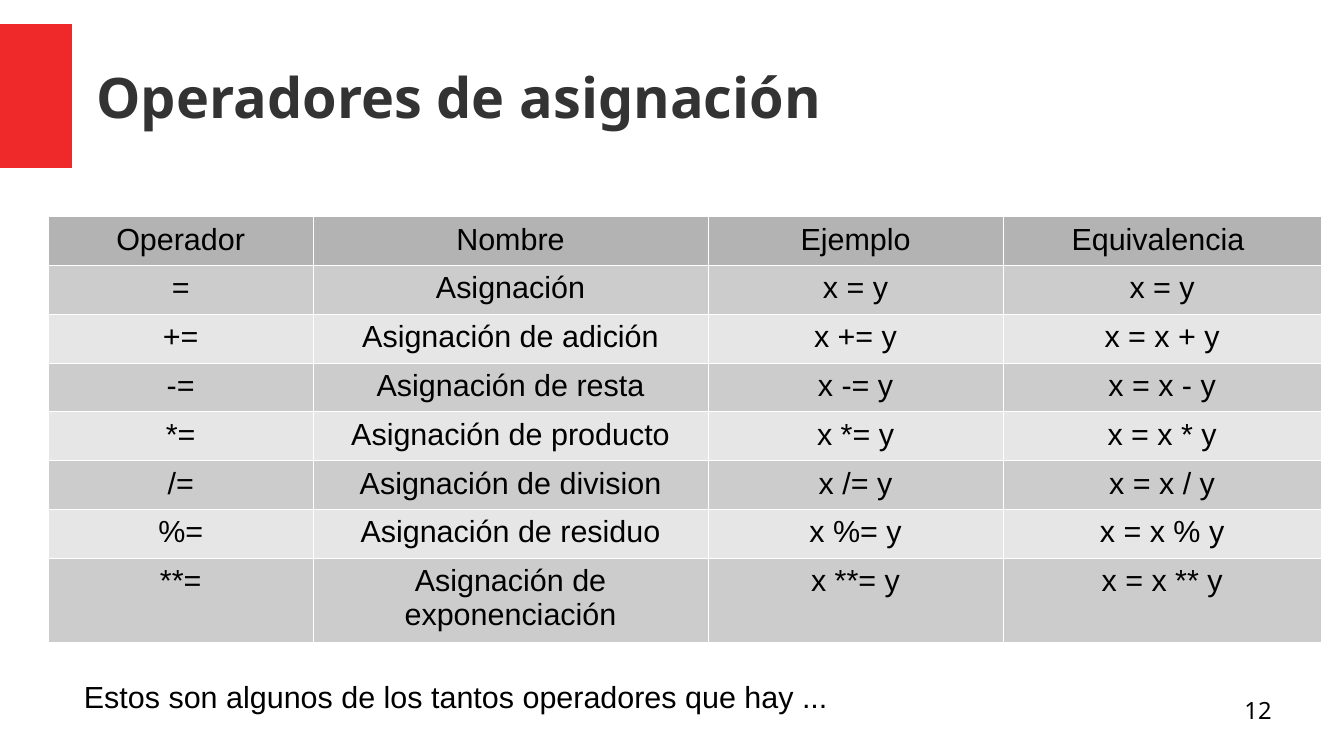
import dataclasses

import lxml.etree
import pptx
import pptx.dml.color
import pptx.enum.shapes
import pptx.enum.text
import pptx.oxml.ns
import pptx.util

Pt = pptx.util.Pt
Align = pptx.enum.text.PP_ALIGN
Anchor = pptx.enum.text.MSO_ANCHOR

BODY_FONT = "Arial"
HEADING_FONT = "Noto Sans"
BLACK = "000000"
HEADER_FILL = "B3B3B3"
BAND_FILLS = ("CCCCCC", "E6E6E6")
PADDING_X, PADDING_Y = 7.2, 3.6


@dataclasses.dataclass
class Label:
    text: str
    left: float
    top: float
    width: float
    height: float
    size: float
    font: str = HEADING_FONT
    color: str = BLACK
    bold: bool = False
    align: Align = Align.LEFT
    anchor: Anchor = Anchor.TOP
    padding: tuple[float, float] = (0, 0)
    wrap: bool = True


@dataclasses.dataclass
class Operator:
    symbol: str
    name: str
    equivalence: str

    def row(self) -> tuple[str, str, str, str]:
        return self.symbol, self.name, f"x {self.symbol} y", self.equivalence


HEADERS = ("Operador", "Nombre", "Ejemplo", "Equivalencia ")
OPERATORS = (
    Operator("=", "Asignación", "x = y"),
    Operator("+=", "Asignación de adición", "x = x + y"),
    Operator("-=", "Asignación de resta", "x = x - y"),
    Operator("*=", "Asignación de producto", "x = x * y"),
    Operator("/=", "Asignación de division", "x = x / y"),
    Operator("%=", "Asignación de residuo", "x = x % y"),
    Operator("**=", "Asignación de exponenciación", "x = x ** y"),
)
COLUMN_WIDTHS = (156.2, 233.3, 174.2, 187.9)
ROW_HEIGHTS = [28.8] * len(OPERATORS) + [49.6]

LABELS = (
    Label("Operadores de asignación", 56.9, 14.4, 708.5, 85, 33,
          color="333333", bold=True, anchor=Anchor.MIDDLE),
    Label("Estos son algunos de los tantos operadores que hay ...",
          42.5, 396.7, 453.6, 27.4, 18, font=BODY_FONT,
          padding=(PADDING_X, PADDING_Y), wrap=False),
    Label("12", 566.6, 411.1, 184.3, 31, 14, align=Align.RIGHT),
)


def rgb(color: str) -> pptx.dml.color.RGBColor:
    return pptx.dml.color.RGBColor.from_string(color)


def set_fill(target, color: str) -> None:
    target.fill.solid()
    target.fill.fore_color.rgb = rgb(color)


def write(paragraph, text: str, size: float, font: str, color: str,
          align: Align, bold: bool = False) -> None:
    paragraph.text = text
    paragraph.alignment = align
    paragraph.font.size = Pt(size)
    paragraph.font.name = font
    paragraph.font.bold = bold
    paragraph.font.color.rgb = rgb(color)


def set_padding(target, horizontal: float, vertical: float) -> None:
    target.margin_left = target.margin_right = Pt(horizontal)
    target.margin_top = target.margin_bottom = Pt(vertical)


def draw_label(slide, label: Label) -> None:
    shape = slide.shapes.add_textbox(
        Pt(label.left), Pt(label.top), Pt(label.width), Pt(label.height))
    frame = shape.text_frame
    frame.word_wrap = label.wrap
    frame.vertical_anchor = label.anchor
    set_padding(frame, *label.padding)
    write(frame.paragraphs[0], label.text, label.size, label.font,
          label.color, label.align, label.bold)


def add_borders(cell, color: str, width: float) -> None:
    properties = cell._tc.get_or_add_tcPr()
    qn = pptx.oxml.ns.qn
    # Border lines must come before the fill
    for index, side in enumerate(("lnL", "lnR", "lnT", "lnB")):
        line = lxml.etree.Element(qn(f"a:{side}"), w=str(int(Pt(width))))
        fill = lxml.etree.SubElement(line, qn("a:solidFill"))
        lxml.etree.SubElement(fill, qn("a:srgbClr"), val=color)
        properties.insert(index, line)


def draw_operator_table(slide, left: float, top: float) -> None:
    rows = [HEADERS] + [operator.row() for operator in OPERATORS]
    table = slide.shapes.add_table(
        len(rows), len(HEADERS), Pt(left), Pt(top),
        Pt(sum(COLUMN_WIDTHS)), Pt(sum(ROW_HEIGHTS))).table
    table.first_row = table.horz_banding = False
    for column, width in zip(table.columns, COLUMN_WIDTHS):
        column.width = Pt(width)
    for row_index, texts in enumerate(rows):
        table.rows[row_index].height = Pt(ROW_HEIGHTS[row_index])
        fill = BAND_FILLS[(row_index - 1) % 2] if row_index else HEADER_FILL
        for column_index, text in enumerate(texts):
            cell = table.cell(row_index, column_index)
            set_padding(cell, PADDING_X, PADDING_Y)
            set_fill(cell, fill)
            add_borders(cell, "FFFFFF", 0.06)
            write(cell.text_frame.paragraphs[0], text, 18, BODY_FONT,
                  BLACK, Align.CENTER)


presentation = pptx.Presentation()
presentation.slide_width = Pt(793.6)
presentation.slide_height = Pt(446.4)
slide = presentation.slides.add_slide(presentation.slide_layouts[6])

# Red block beside the title
accent = slide.shapes.add_shape(
    pptx.enum.shapes.MSO_SHAPE.RECTANGLE, Pt(0), Pt(14.2), Pt(42.5), Pt(85))
accent.shadow.inherit = False
accent.line.fill.background()
set_fill(accent, "EF2929")

# Table of operators
draw_operator_table(slide, 28.6, 127.8)

# Title, closing remark and slide number
for label in LABELS:
    draw_label(slide, label)

presentation.save("out.pptx")
